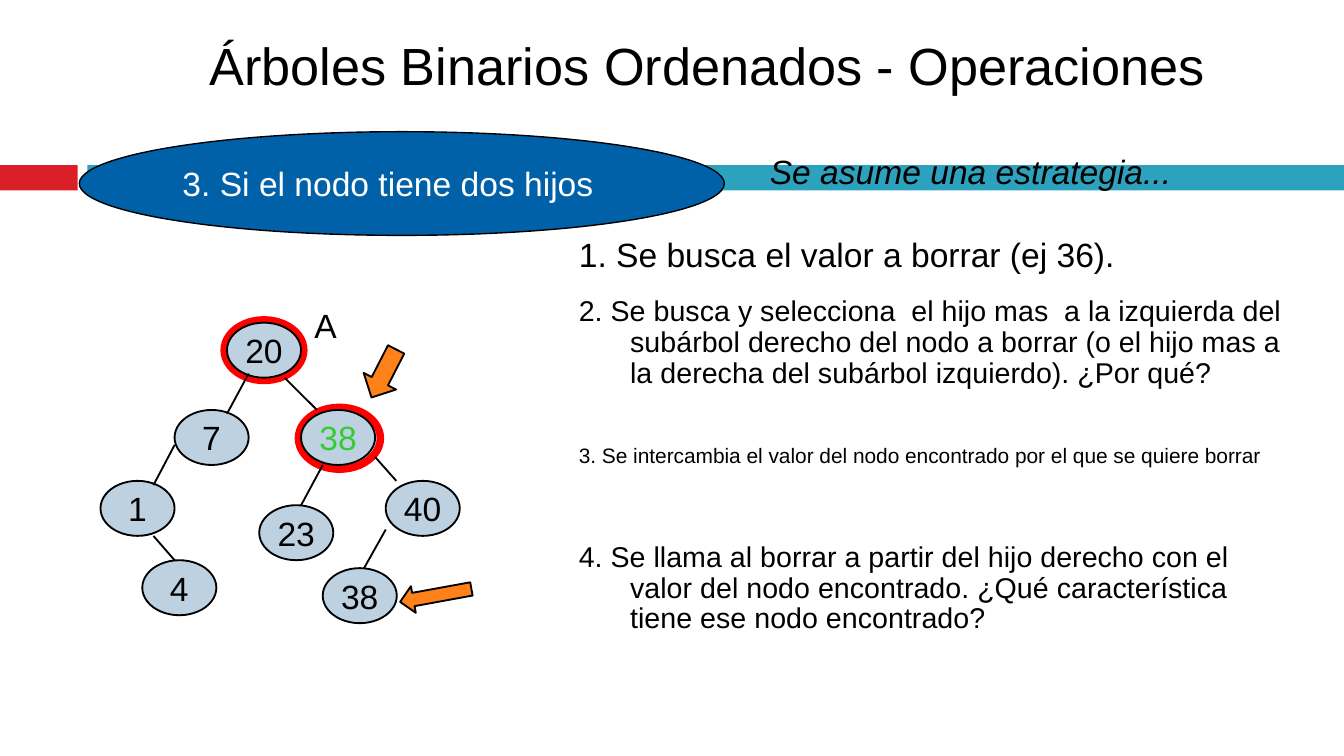
from dataclasses import dataclass

from lxml import etree
from pptx import Presentation
from pptx.dml.color import RGBColor
from pptx.enum import shapes, text
from pptx.oxml import ns
from pptx.util import Cm, Pt

KIND = shapes.MSO_SHAPE


@dataclass(frozen=True)
class Theme:
    """Colours and type sizes of the slide."""
    font: str = "Arial"
    ink: str = "000000"
    white: str = "FFFFFF"
    red: str = "DA1F28"
    teal: str = "2DA2BF"
    node: str = "BED1E0"
    halo: str = "FF0000"
    green: str = "33CC33"
    arrow: str = "FF8119"
    blue: str = "0060A8"
    title: float = 28
    body: float = 18
    step: float = 15.3
    small: float = 11.2
    thin: float = 0.99


T = Theme()
NODE = (1.4, 1.04)

# Value, left, top, text colour
NODES = [
    ("20", 4.29, 6.1, T.ink), ("7", 3.3, 7.75, T.ink),
    ("38", 5.69, 7.75, T.green), ("1", 1.9, 9.09, T.ink),
    ("4", 2.69, 10.59, T.ink), ("23", 4.9, 9.55, T.ink),
    ("40", 7.29, 9.09, T.ink), ("38", 6.1, 10.74, T.ink),
]
# Start x, y and end x, y
EDGES = [
    (4.7, 7.06, 4.29, 7.82), (5.38, 7.14, 5.99, 7.75),
    (3.3, 8.41, 2.9, 9.17), (2.9, 10.13, 3.3, 10.59),
    (6.1, 8.79, 5.69, 9.55), (7.09, 8.64, 7.49, 9.09),
    (7.29, 10.01, 6.88, 10.74),
]
# Text, top, width, height, type size, line spacing
STEPS = [
    ("1. Se busca el valor a borrar (ej 36).",
     4.29, 12.01, 1.04, T.body, 1.0),
    ("2. Se busca y selecciona  el hijo mas  a la izquierda del subárbol "
     "derecho del nodo a borrar (o el hijo mas a la derecha del subárbol "
     "izquierdo). ¿Por qué?", 5.49, 14.02, 2.57, T.step, 0.9),
    ("3. Se intercambia el valor del nodo encontrado por el que se quiere "
     "borrar", 8.33, 13.79, 1.35, T.small, 0.8),
    ("4. Se llama al borrar a partir del hijo derecho con el valor del nodo "
     "encontrado. ¿Qué característica tiene ese nodo encontrado?",
     10.13, 13.79, 2.26, T.step, 0.9),
]


def rgb(code):
    """Turn a hex code into a colour."""
    return RGBColor.from_string(code)


def write(par, words, size=T.body, color=T.ink, slant=False):
    """Add one run to a paragraph."""
    run = par.add_run()
    run.text = words
    font = run.font
    font.name, font.size, font.italic = T.font, Pt(size), slant
    font.color.rgb = rgb(color)


def shape(slide, kind, box, fill, line=None, width=T.thin):
    """Draw a filled preset shape, outlined if a line colour is given."""
    form = slide.shapes.add_shape(kind, *map(Cm, box))
    form.shadow.inherit = False
    form.fill.solid()
    form.fill.fore_color.rgb = rgb(fill)
    if line:
        form.line.color.rgb = rgb(line)
        form.line.width = Pt(width)
    else:
        form.line.fill.background()
    return form


def node(slide, value, left, top, color):
    """Draw one tree node with its value."""
    form = shape(slide, KIND.OVAL, (left, top, *NODE), T.node, T.ink)
    frame = form.text_frame
    frame.word_wrap = False
    frame.vertical_anchor = text.MSO_ANCHOR.MIDDLE
    par = frame.paragraphs[0]
    par.alignment = text.PP_ALIGN.CENTER
    write(par, value, color=color)


def edge(slide, ends):
    """Draw one tree edge."""
    line = slide.shapes.add_connector(
        shapes.MSO_CONNECTOR.STRAIGHT, *map(Cm, ends))
    line.line.color.rgb = rgb(T.ink)
    line.line.width = Pt(T.thin)
    props = line._element.spPr
    etree.SubElement(props, ns.qn("a:effectLst"))


def arrow(slide, box, turn):
    """Draw a turned block arrow."""
    form = shape(slide, KIND.DOWN_ARROW, box, T.arrow, T.ink)
    form.rotation = turn


def label(slide, box, words, before=0, **style):
    """Add a one-paragraph text box and return its paragraph."""
    frame = slide.shapes.add_textbox(*map(Cm, box)).text_frame
    frame.word_wrap = True
    par = frame.paragraphs[0]
    par.space_before = Pt(before)
    write(par, words, **style)
    return par


def step(slide, words, top, width, height, size, pitch):
    """Add one step with a hanging indent."""
    par = label(slide, (10.69, top, width, height), words, 4.5, size=size)
    par.line_spacing = pitch
    props = par._p.get_or_add_pPr()
    props.set("marL", str(Cm(0.97)))
    props.set("indent", str(-Cm(0.97)))


def tree(slide):
    """Draw the tree with its marked nodes and arrows."""
    shape(slide, KIND.OVAL, (4.29, 6.1, *NODE), T.node, T.halo, 7)
    shape(slide, KIND.OVAL, (5.64, 7.7, 1.55, 1.17), T.node, T.halo, 4)
    for item in NODES:
        node(slide, *item)
    for ends in EDGES:
        edge(slide, ends)
    label(slide, (5.69, 5.64, 0.99, 1.02), "A")
    arrow(slide, (6.91, 6.55, 0.69, 1.02), 27.2)
    arrow(slide, (7.98, 10.57, 0.51, 1.37), 79.7)


def head(slide):
    """Add the title, the case in its oval and the remark."""
    title = (3.71, 0.28, 20.19, 1.9)
    label(slide, title, "Árboles Binarios Ordenados - Operaciones",
          size=T.title)
    slide.shapes[-1].text_frame.vertical_anchor = text.MSO_ANCHOR.MIDDLE
    shape(slide, KIND.OVAL, (1.5, 2.49, 12.19, 1.96), T.blue, T.ink, 0.74)
    label(slide, (3.2, 2.95, 11.3, 1.02), "3. Si el nodo tiene dos hijos",
          4.5, color=T.white)
    label(slide, (14.3, 2.72, 9.19, 1.02), "Se asume una estrategia...",
          11.2, slant=True)


def main():
    """Build and save the slide."""
    deck = Presentation()
    deck.slide_width, deck.slide_height = Cm(25.4), Cm(14.29)
    slide = deck.slides.add_slide(deck.slide_layouts[6])
    shape(slide, KIND.RECTANGLE, (0, 3.12, 1.47, 0.48), T.red)
    shape(slide, KIND.RECTANGLE, (1.65, 3.12, 23.75, 0.48), T.teal)
    tree(slide)
    for item in STEPS:
        step(slide, *item)
    head(slide)
    deck.save("out.pptx")


main()
